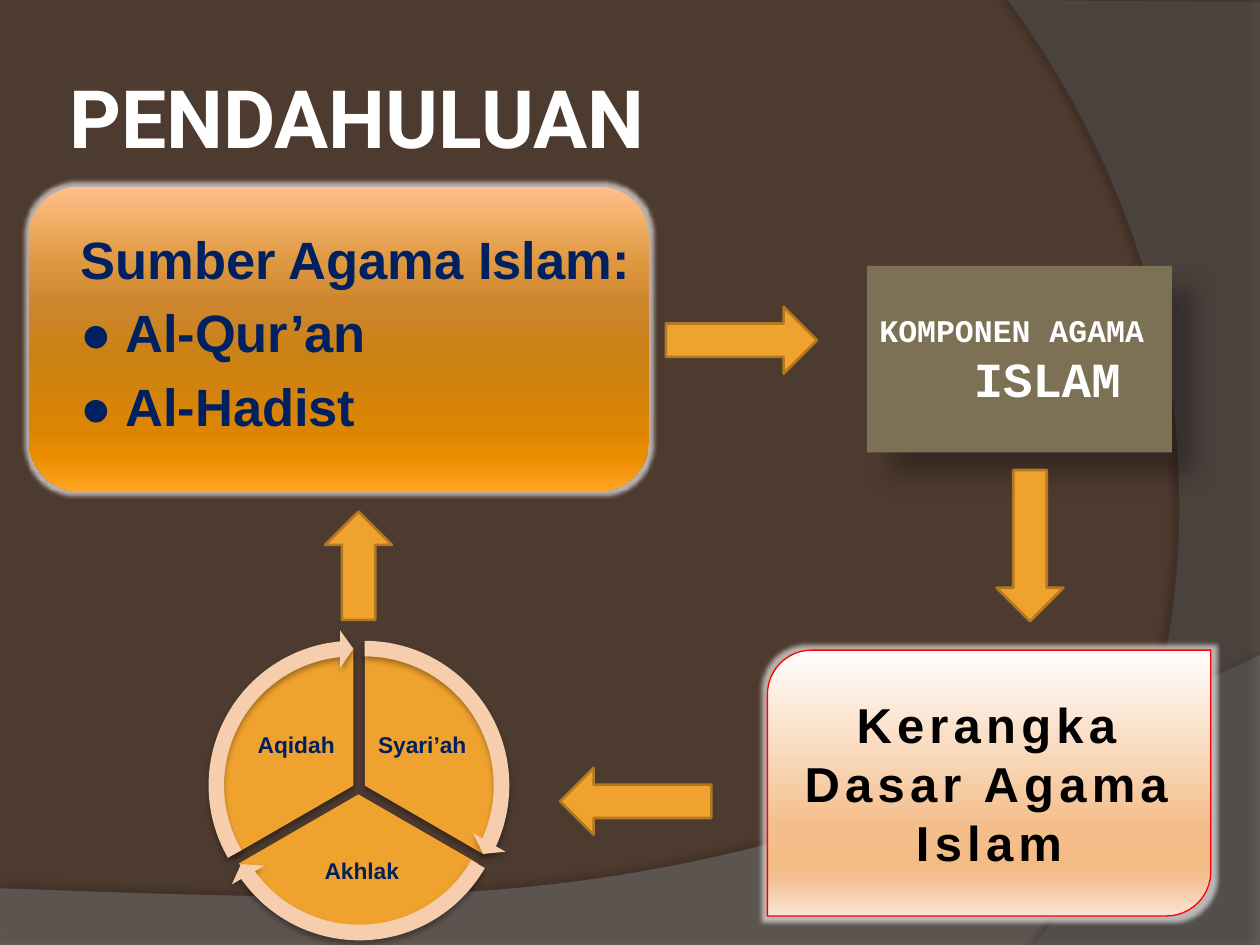
from dataclasses import dataclass
from lxml.etree import SubElement
from pptx import Presentation
from pptx.dml.color import RGBColor
from pptx.enum.shapes import MSO_SHAPE as Preset
from pptx.enum.text import MSO_ANCHOR as Anchor, MSO_AUTO_SIZE as AutoSize, PP_ALIGN as Align
from pptx.oxml.ns import qn
from pptx.util import Pt


@dataclass(frozen=True)
class Theme:
    background: str = "4E3B30"
    bottom_band: str = "7F7F7F"
    side_band: str = "5E5E5E"
    white: str = "FFFFFF"
    black: str = "000000"
    navy: str = "002060"
    orange: str = "F0A22E"
    orange_edge: str = "B27822"
    peach: str = "F6CEAD"
    olive: str = "7C7154"
    red: str = "FF0000"
    sources: tuple = ((0, "FFC089"), (25, "DE9840"), (38, "CD862E"), (55, "CB8215"),
                      (80, "DC8502"), (88, "EA8C00"), (100, "FFA523"))
    framework: tuple = ((0, "FFFEFE"), (68, "F4BD8A"), (81, "F3BB85"),
                        (86, "F4C194"), (100, "FAE4D4"))
    title_font: str = "Roboto"
    body_font: str = "Arial"
    code_font: str = "Courier New"
    title_size: int = 46
    body_size: int = 30
    large_size: int = 28
    medium_size: int = 18
    label_size: int = 13


THEME = Theme()
# Shadows: opacity %, blur, distance, direction
CYCLE_SHADOW = (32, 3.5, 2.2, 90)


def rgb(color):
    return RGBColor.from_string(color)


def points(*values):
    return [Pt(value) for value in values]


def add_color(parent, color, opacity=100):
    element = SubElement(parent, qn("a:srgbClr"), val=color)
    SubElement(element, qn("a:alpha"), val=str(opacity * 1000))


def style(shape, fill, line=None, line_width=1, opacity=100, shadow=None, glow=None):
    """Set fill (a colour or gradient stops), outline and effects."""
    properties = shape._element.spPr
    shape.shadow.inherit = False
    if isinstance(fill, str):
        shape.fill.solid()
        shape.fill.fore_color.rgb = rgb(fill)
        if opacity < 100:
            color = properties.find(qn("a:solidFill"))[0]
            SubElement(color, qn("a:alpha"), val=str(opacity * 1000))
    else:
        shape.fill.gradient()
        shape.fill.gradient_angle = 270
        stops = properties.find(qn("a:gradFill")).find(qn("a:gsLst"))
        stops.clear()
        for position, color in fill:
            add_color(SubElement(stops, qn("a:gs"), pos=str(position * 1000)), color)
    if line:
        shape.line.color.rgb = rgb(line)
        shape.line.width = Pt(line_width)
    else:
        shape.line.fill.background()
    effects = properties.find(qn("a:effectLst"))
    if glow:
        add_color(SubElement(effects, qn("a:glow"), rad=str(Pt(glow))), THEME.white, 60)
    if shadow:
        strength, blur, distance, direction = shadow
        outer = SubElement(effects, qn("a:outerShdw"), blurRad=str(Pt(blur)),
                           dist=str(Pt(distance)), dir=str(direction * 60000),
                           algn="ctr", rotWithShape="0")
        add_color(outer, THEME.black, strength)


def add_preset(shapes, preset, box, fill, adjustments=(), rotation=0, **look):
    shape = shapes.add_shape(preset, *points(*box))
    for index, value in enumerate(adjustments):
        shape.adjustments[index] = value
    shape.rotation = rotation
    style(shape, fill, **look)
    return shape


def set_frame(frame, anchor=Anchor.MIDDLE, margins=(7.2, 3.6)):
    frame.word_wrap = True
    frame.auto_size = AutoSize.NONE
    frame.vertical_anchor = anchor
    frame.margin_left = frame.margin_right = Pt(margins[0])
    frame.margin_top = frame.margin_bottom = Pt(margins[1])
    return frame


def write(frame, text, size, color, font=THEME.body_font, align=Align.LEFT, before=0,
          line_spacing=None, left=None, hanging=0, tracking=0):
    """Write one bold paragraph, using the frame's first one while it is empty."""
    paragraph = frame.paragraphs[0] if not frame.text else frame.add_paragraph()
    paragraph.alignment = align
    paragraph.space_before = Pt(before)
    paragraph.line_spacing = line_spacing
    if left is not None:
        properties = paragraph._p.get_or_add_pPr()
        properties.set("marL", str(Pt(left)))
        properties.set("indent", str(Pt(-hanging)))
        SubElement(properties, qn("a:buNone"))
    run = paragraph.add_run()
    run.text = text
    run.font.name, run.font.size, run.font.bold = font, Pt(size), True
    run.font.color.rgb = rgb(color)
    if tracking:
        run._r.get_or_add_rPr().set("spc", str(tracking * 100))


def place(shape, box):
    """Position a placeholder and bring it in front of what is drawn so far."""
    shape.left, shape.top, shape.width, shape.height = points(*box)
    shape._element.getparent().append(shape._element)


def bezier(start, control1, control2, end, steps=60):
    def blend(t, a, b, c, d):
        u = 1 - t
        return u**3 * a + 3 * u * u * t * b + 3 * u * t * t * c + t**3 * d
    return [tuple(blend(step / steps, *axis) for axis in zip(start, control1, control2, end))
            for step in range(steps + 1)]


def add_band(shapes, outline, fill, opacity, shadow):
    first, *rest = [points(*point) for point in outline]
    builder = shapes.build_freeform(*first)
    builder.add_line_segments(rest, close=True)
    style(builder.convert_to_shape(), fill, opacity=opacity, shadow=shadow)


def add_backdrop(shapes):
    curve = bezier((720, 374.4), (402.5, 524.9), (281.5, 517.7), (0, 507.6))
    add_band(shapes, [(0, 540), (720, 540), *curve], THEME.bottom_band, 45, (35, 4, 3.5, 270))
    curve = bezier((591, 540), (673.2, 445.7), (733, 216), (576, 0))
    add_band(shapes, [(720, 1.4), (720, 540), *curve], THEME.side_band, 40, (45, 4, 4, 180))


def add_flow_arrow(shapes, left, top, length=86.4, rotation=0):
    add_preset(shapes, Preset.DOWN_ARROW, (left, top, 38.2, length), THEME.orange,
               rotation=rotation, line=THEME.orange_edge, line_width=1.5)


def add_cycle(shapes):
    """Three slices with labels, ringed by three curved arrows."""
    group = shapes.add_group_shape().shapes
    slices = (
        ("Syari’ah", (129.6, 370.1), (162, 18), (213.1, 403.2, 56.2, 46.8)),
        ("Akhlak", (126, 375.1), (18, 90), (164.2, 478.1, 85, 41)),
        ("Aqidah", (123.1, 370.1), (90, 162), (141.1, 403.2, 56.2, 46.8)),
    )
    for label, corner, angles, label_box in slices:
        add_preset(group, Preset.PIE, (*corner, 157.7, 157.7), THEME.orange,
                   angles, shadow=CYCLE_SHADOW)
        frame = set_frame(group.add_textbox(*points(*label_box)).text_frame, margins=(1.4, 1.4))
        write(frame, label, THEME.label_size, THEME.navy, align=Align.CENTER, line_spacing=0.9)
    rings = (((119.5, 360), 14.73, 161.99), ((116.6, 365.8), 86.72, 18), ((113, 360), 158.73, 90))
    for corner, end, start in rings:
        add_preset(group, Preset.CIRCULAR_ARROW, (*corner, 177.8, 177.8), THEME.peach,
                   (0.05, 3.28, end, start, 0.06), shadow=CYCLE_SHADOW)


def main():
    presentation = Presentation()
    presentation.slide_width, presentation.slide_height = points(720, 540)
    slide = presentation.slides.add_slide(presentation.slide_layouts[1])
    slide.background.fill.solid()
    slide.background.fill.fore_color.rgb = rgb(THEME.background)
    shapes = slide.shapes
    title, body = shapes.title, slide.placeholders[1]

    # Backdrop and sources panel
    add_backdrop(shapes)
    add_preset(shapes, Preset.ROUNDED_RECTANGLE, (16.6, 106.6, 354.2, 174.2),
               THEME.sources, glow=5)

    # Title and list of sources
    place(title, (36, 21.6, 588.2, 90))
    write(set_frame(title.text_frame, margins=(3.6, 3.6)), "PENDAHULUAN",
          THEME.title_size, THEME.white, font=THEME.title_font)
    place(body, (36, 126, 588.2, 356.4))
    frame = set_frame(body.text_frame, Anchor.TOP)
    for index, line in enumerate(("Sumber Agama Islam:", "● Al-Qur’an", "● Al-Hadist")):
        write(frame, line, THEME.body_size, THEME.navy, before=6 if index else 0,
              left=33, hanging=30)

    # Components of the religion
    add_flow_arrow(shapes, 404.6, 151.2, rotation=270)
    components = add_preset(shapes, Preset.RECTANGLE, (495.4, 151.9, 174.2, 106.6),
                            THEME.olive, shadow=(30, 15, 18, 45))
    frame = set_frame(components.text_frame)
    write(frame, "KOMPONEN AGAMA", THEME.medium_size, THEME.white, font=THEME.code_font)
    write(frame, "ISLAM", THEME.large_size, THEME.white, font=THEME.code_font, left=54)

    # Basic framework
    add_flow_arrow(shapes, 569.5, 268.6)
    framework = add_preset(shapes, Preset.ROUND_2_DIAG_RECTANGLE, (438.5, 371.5, 253.4, 151.9),
                           THEME.framework, line=THEME.red, line_width=0.75, glow=5)
    write(set_frame(framework.text_frame), "Kerangka Dasar Agama Islam", THEME.large_size,
          THEME.black, align=Align.CENTER, tracking=3)

    # Cycle and the arrows around it
    add_cycle(shapes)
    add_flow_arrow(shapes, 344.2, 414.7, rotation=90)
    add_flow_arrow(shapes, 185.8, 292.3, length=61.9, rotation=180)

    presentation.save("out.pptx")


if __name__ == "__main__":
    main()
